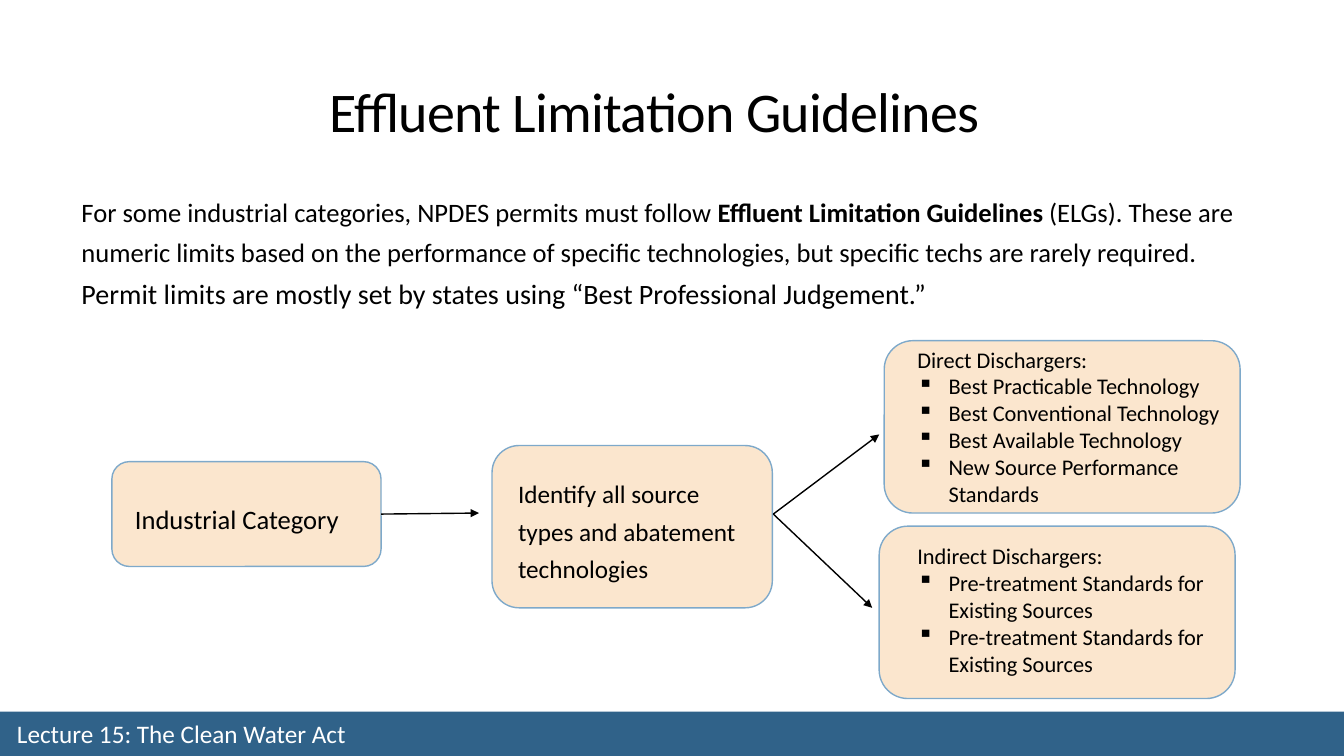
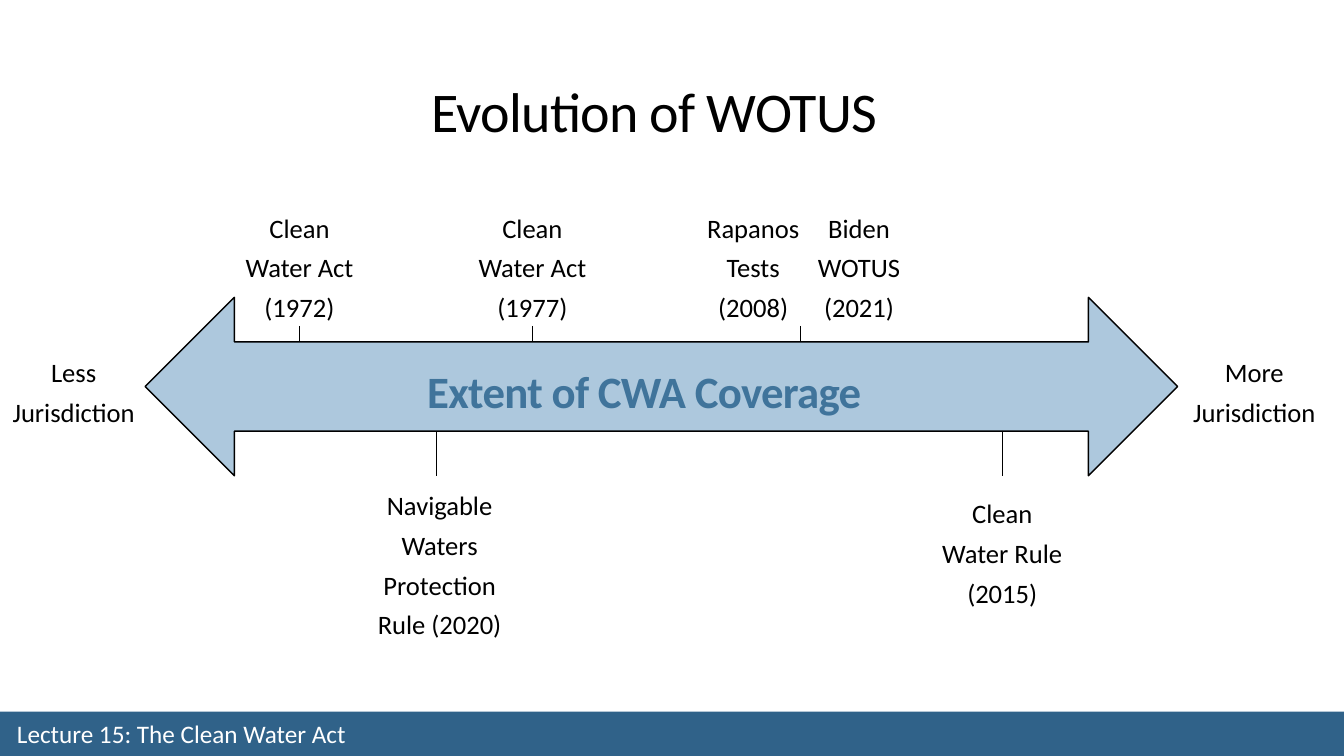
from lxml import etree
from pptx import Presentation
from pptx.dml.color import RGBColor
from pptx.enum.shapes import MSO_CONNECTOR as Line, MSO_SHAPE as Shape
from pptx.enum.text import MSO_ANCHOR as Anchor, PP_ALIGN as Align
from pptx.oxml.ns import qn
from pptx.util import Inches, Pt

FONT = "Calibri"
BLACK, WHITE = "000000", "FFFFFF"
BAND, CARD, CARD_EDGE = "306289", "FBE6CE", "7EA9CA"
ARROW, ARROW_LABEL = "ADC8DD", "40749B"
SLIDE_W, SLIDE_H = 13.33, 7.5
BODY_SPACING = 1.25
BULLET_INDENT = 0.31


def rgb(color):
    return RGBColor.from_string(color)


def add_box(slide, preset, box, fill, edge=None):
    shape = slide.shapes.add_shape(preset, *map(Inches, box))
    shape.shadow.inherit = False
    shape.fill.solid()
    shape.fill.fore_color.rgb = rgb(fill)
    if edge:
        shape.line.color.rgb = rgb(edge)
        shape.line.width = Pt(1)
    else:
        shape.line.fill.background()


def add_line(slide, start, end, width, arrow=False):
    points = [Inches(v) for v in (*start, *end)]
    line = slide.shapes.add_connector(Line.STRAIGHT, *points)
    line.line.color.rgb = rgb(BLACK)
    line.line.width = Pt(width)
    if arrow:
        etree.SubElement(line.line._get_or_add_ln(), qn("a:tailEnd"), type="triangle")
    etree.SubElement(line._element.spPr, qn("a:effectLst"))


def add_bullet(paragraph):
    props = paragraph._p.get_or_add_pPr()
    props.set("marL", str(Inches(BULLET_INDENT)))
    props.set("indent", str(-Inches(BULLET_INDENT)))
    etree.SubElement(props, qn("a:buChar"), char="▪")


def add_text(slide, box, paragraphs, size=19, color=BLACK, bold=False, align=Align.LEFT,
             anchor=Anchor.TOP, spacing=None, tracking=None, bulleted=False):
    """Each paragraph is a string or a list of (text, size, bold) runs;
    bulleted marks all paragraphs after the first."""
    frame = slide.shapes.add_textbox(*map(Inches, box)).text_frame
    frame.word_wrap = True
    frame.vertical_anchor = anchor
    for index, content in enumerate(paragraphs):
        paragraph = frame.paragraphs[0] if index == 0 else frame.add_paragraph()
        paragraph.alignment = align
        if spacing:
            paragraph.line_spacing = spacing
        if bulleted and index:
            add_bullet(paragraph)
        runs = [(content, size, bold)] if isinstance(content, str) else content
        for text, run_size, run_bold in runs:
            run = paragraph.add_run()
            run.text = text
            run.font.name = FONT
            run.font.size = Pt(run_size)
            run.font.bold = run_bold
            run.font.color.rgb = rgb(color)
            if tracking:
                run.font._element.set("spc", str(int(tracking * 100)))


def add_heading(slide, box, text, size, color=BLACK, bold=False):
    add_text(slide, box, [text], size, color, bold, Align.CENTER, Anchor.BOTTOM,
             spacing=0.85, tracking=-0.5)


def add_lecture_slide(prs, title):
    slide = prs.slides.add_slide(prs.slide_layouts[6])
    band_top = 7.06
    add_box(slide, Shape.RECTANGLE, (0, band_top, SLIDE_W, SLIDE_H - band_top), BAND)
    add_text(slide, (0.07, band_top + 0.06, 6.6, 0.32), ["Lecture 15: The Clean Water Act"],
             18, WHITE, anchor=Anchor.MIDDLE)
    add_heading(slide, (2.54, 0.17, 7.9, 1.31), title, 40)
    return slide


def add_card(slide, box, text_offset, text_width, paragraphs, size, **style):
    left, top, _, height = box
    dx, dy = text_offset
    add_box(slide, Shape.ROUNDED_RECTANGLE, box, CARD, CARD_EDGE)
    add_text(slide, (left + dx, top + dy, text_width, height - dy), paragraphs, size, **style)


def add_permit_flow(slide, left, top):
    """Industrial category to source types to the two discharger cards."""
    add_card(slide, (left, top + 1.2, 2.67, 1.04), (0.13, 0.28), 2.26,
             ["Industrial Category"], 19, spacing=BODY_SPACING)
    add_card(slide, (left + 3.77, top + 1.04, 2.78, 1.61), (0.16, 0.2), 2.37,
             ["Identify all source types and abatement technologies"], 18,
             spacing=BODY_SPACING)
    add_card(slide, (left + 7.66, top, 3.53, 1.71), (0.23, 0), 3.53,
             ["Direct Dischargers:", "Best Practicable Technology",
              "Best Conventional Technology", "Best Available Technology",
              "New Source Performance Standards"], 16, bulleted=True)
    add_card(slide, (left + 7.61, top + 1.84, 3.53, 1.71), (0.28, 0.11), 3.35,
             ["Indirect Dischargers:"] + ["Pre-treatment Standards for Existing Sources"] * 2,
             16, bulleted=True)
    middle = top + 1.72
    fork = (left + 6.56, middle)
    for start, end in [((left + 2.67, middle), (left + 3.64, middle - 0.01)),
                       (fork, (left + 7.61, top + 0.93)),
                       (fork, (left + 7.54, top + 2.65))]:
        add_line(slide, start, end, 1, arrow=True)


def add_centered_label(slide, center, top, paragraphs, width=1.42, height=1.27):
    add_text(slide, (center - width / 2, top, width, height), paragraphs,
             align=Align.CENTER, spacing=BODY_SPACING)


def add_coverage_arrow(slide, left, top, width, height):
    """Double arrow with its end labels, milestones and ticks."""
    add_box(slide, Shape.LEFT_RIGHT_ARROW, (left, top, width, height), ARROW, BLACK)
    add_heading(slide, (left - 0.55, top - 0.35, 11, 1.59), "Extent of CWA Coverage",
                32, ARROW_LABEL, True)
    for amount, center in [("More", left + width + 0.76), ("Less", left - 0.71)]:
        add_centered_label(slide, center, top + 0.45, [amount, "Jurisdiction"], height=0.87)

    above = [("Clean Water Act (1972)", 1.53), ("Clean Water Act (1977)", 3.84),
             ("Rapanos Tests (2008)", 6.03), ("Biden WOTUS (2021)", 7.08)]
    for milestone, offset in above:
        add_centered_label(slide, left + offset, top - 0.98, [milestone])
    add_centered_label(slide, left + 2.92, top + height, ["Navigable Waters Protection Rule (2020)"],
                       width=1.84, height=1.67)
    add_centered_label(slide, left + 8.5, top + height + 0.08, ["Clean Water Rule (2015)"])

    shaft_top, shaft_bottom = top + height / 4, top + height * 3 / 4
    ticks = [(offset, shaft_top - 0.16, shaft_top) for offset in (1.53, 3.84, 6.5)]
    ticks += [(offset, shaft_bottom, top + height) for offset in (2.89, 8.5)]
    for offset, start, end in ticks:
        add_line(slide, (left + offset, start), (left + offset, end), 0.5)


def build_guidelines(prs):
    slide = add_lecture_slide(prs, "Effluent Limitation Guidelines")
    add_text(slide, (0.71, 1.82, 11.82, 1.69), [[
        ("For some industrial categories, NPDES permits must follow ", 19, False),
        ("Effluent Limitation Guidelines ", 19, True),
        ("(ELGs). These are numeric limits based on the performance of specific "
         "technologies, but specific techs are rarely required. ", 19, False),
        ("Permit limits are mostly set by states using “Best Professional Judgement.”",
         20, False),
    ]], spacing=BODY_SPACING)
    add_permit_flow(slide, 1.11, 3.38)


def build_evolution(prs):
    slide = add_lecture_slide(prs, "Evolution of WOTUS")
    add_coverage_arrow(slide, 1.44, 2.95, 10.24, 1.77)


def main():
    prs = Presentation()
    prs.slide_width, prs.slide_height = Inches(SLIDE_W), Inches(SLIDE_H)
    build_guidelines(prs)
    build_evolution(prs)
    prs.save("out.pptx")


if __name__ == "__main__":
    main()
